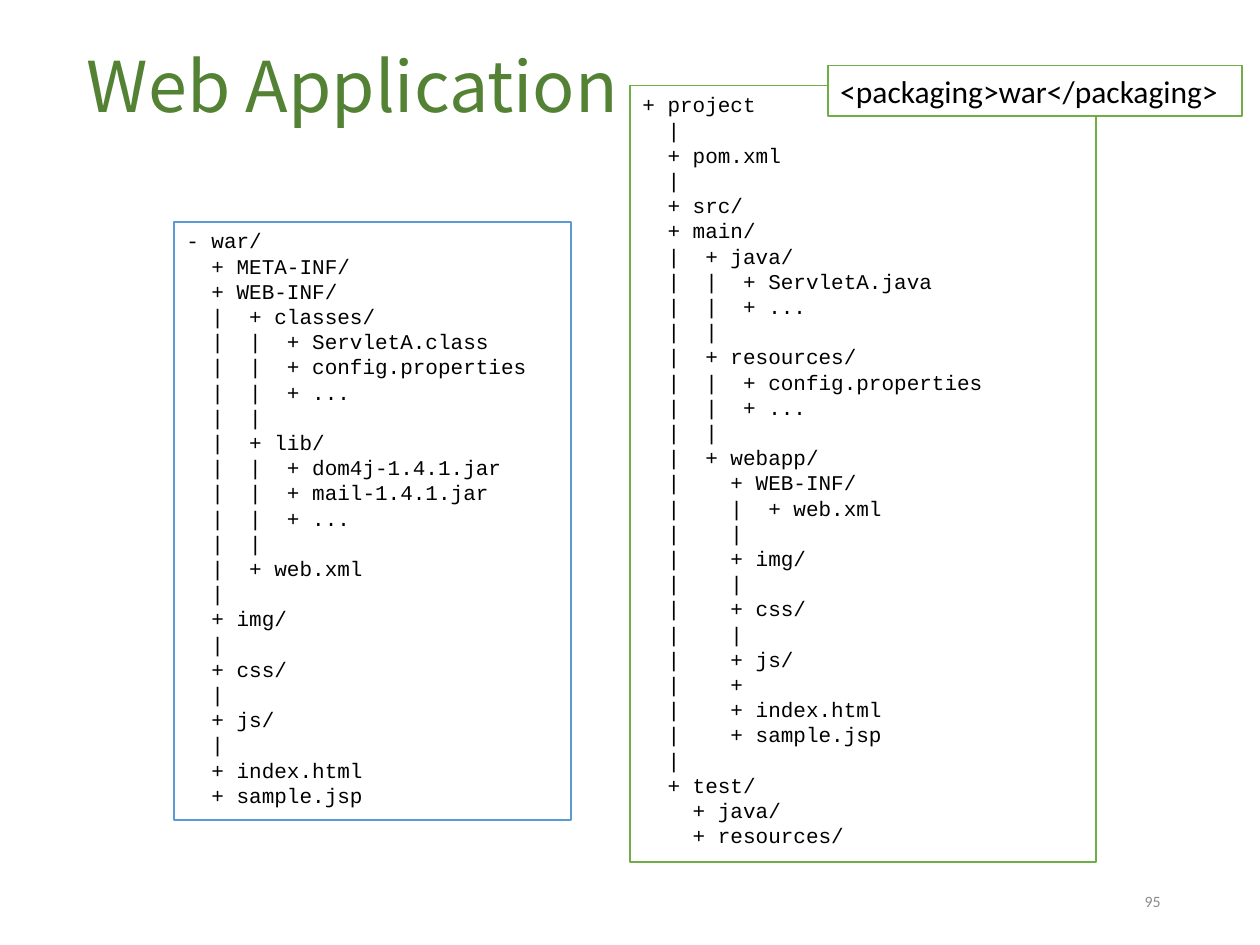
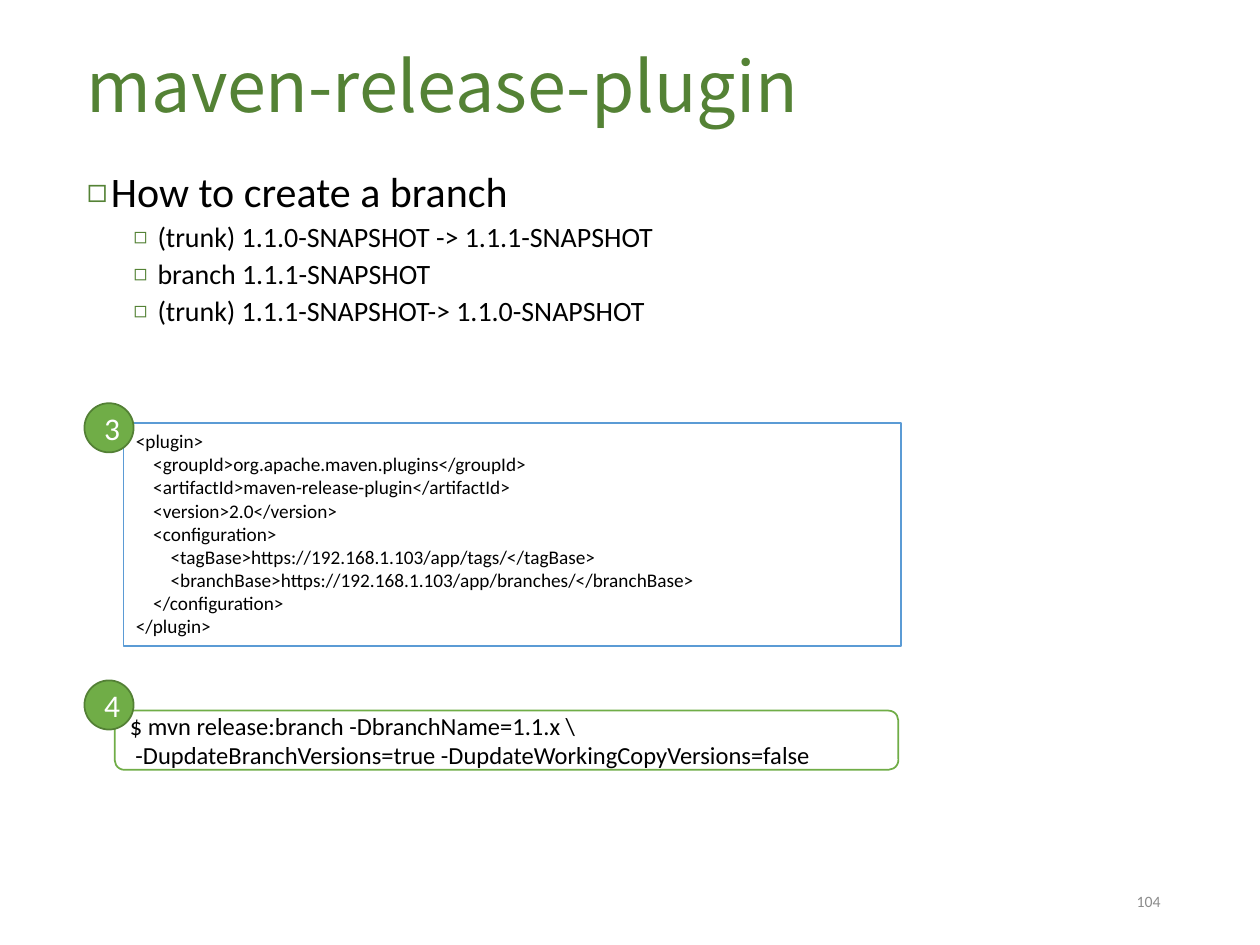
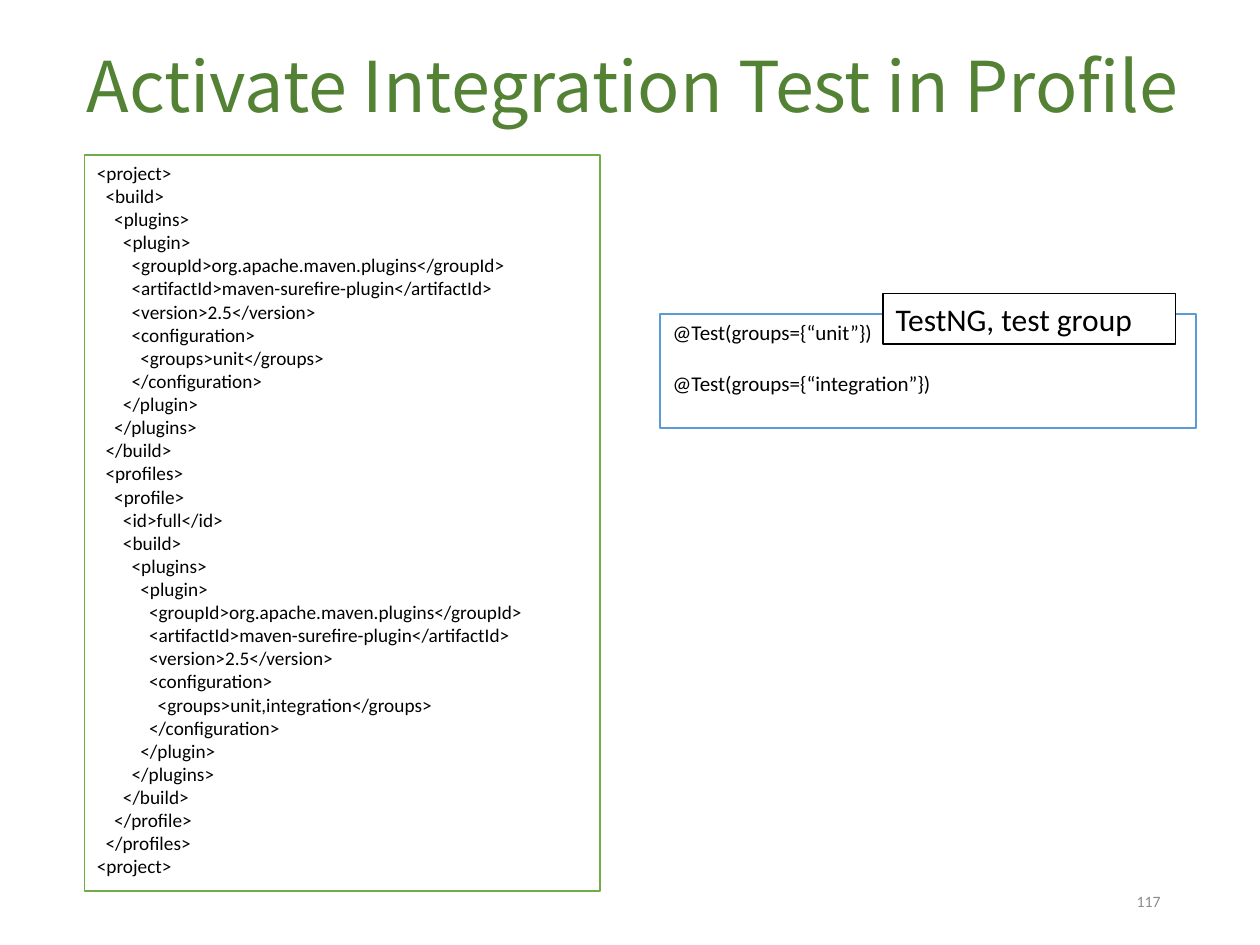
from lxml import etree
from pptx import Presentation
from pptx.dml.color import RGBColor
from pptx.enum.shapes import MSO_SHAPE
from pptx.enum.text import MSO_ANCHOR, MSO_AUTO_SIZE, PP_ALIGN
from pptx.oxml.ns import qn
from pptx.util import Inches, Pt

RECT, ROUNDED, OVAL = MSO_SHAPE.RECTANGLE, MSO_SHAPE.ROUNDED_RECTANGLE, MSO_SHAPE.OVAL
TOP, MIDDLE = MSO_ANCHOR.TOP, MSO_ANCHOR.MIDDLE
LEFT, CENTER, RIGHT = PP_ALIGN.LEFT, PP_ALIGN.CENTER, PP_ALIGN.RIGHT
NO_FIT = MSO_AUTO_SIZE.NONE
TITLE_ONLY, TITLE_AND_BODY = 5, 1

TITLE_GREEN, GREEN, DARK_GREEN = "548235", "70AD47", "538035"
BLUE, BLACK, WHITE, GRAY = "5B9BD5", "000000", "FFFFFF", "8C8C8C"
SANS, MONO, TITLE_FONT = "Calibri", "Courier New", "Noto Sans CJK JP"

WAR_TREE = """\
- war/
  + META-INF/
  + WEB-INF/
  |  + classes/
  |  |  + ServletA.class
  |  |  + config.properties
  |  |  + ...
  |  |
  |  + lib/
  |  |  + dom4j-1.4.1.jar
  |  |  + mail-1.4.1.jar
  |  |  + ...
  |  |
  |  + web.xml
  |
  + img/
  |
  + css/
  |
  + js/
  |
  + index.html
  + sample.jsp"""

PROJECT_TREE = """\
+ project
  |
  + pom.xml
  |
  + src/
  + main/
  |  + java/
  |  |  + ServletA.java
  |  |  + ...
  |  |
  |  + resources/
  |  |  + config.properties
  |  |  + ...
  |  |
  |  + webapp/
  |    + WEB-INF/
  |    |  + web.xml
  |    |
  |    + img/
  |    |
  |    + css/
  |    |
  |    + js/
  |    +
  |    + index.html
  |    + sample.jsp
  |
  + test/
    + java/
    + resources/"""

RELEASE_PLUGIN = """\
<plugin>
    <groupId>org.apache.maven.plugins</groupId>
    <artifactId>maven-release-plugin</artifactId>
    <version>2.0</version>
    <configuration>
        <tagBase>https://192.168.1.103/app/tags/</tagBase>
        <branchBase>https://192.168.1.103/app/branches/</branchBase>
    </configuration>
</plugin>"""

BRANCH_COMMAND = """\
$ mvn release:branch -DbranchName=1.1.x \\
 -DupdateBranchVersions=true -DupdateWorkingCopyVersions=false"""

SUREFIRE_BUILD = """\
<build>
  <plugins>
    <plugin>
      <groupId>org.apache.maven.plugins</groupId>
      <artifactId>maven-surefire-plugin</artifactId>
      <version>2.5</version>
      <configuration>
        <groups>GROUPS</groups>
      </configuration>
    </plugin>
  </plugins>
</build>"""


def surefire_build(groups, indent):
    lines = SUREFIRE_BUILD.replace("GROUPS", groups).splitlines()
    return [" " * indent + line for line in lines]


def rgb(hex_color):
    return RGBColor.from_string(hex_color)


class Deck:
    """Holds the presentation, its style and the current slide."""

    def __init__(self):
        self.prs = Presentation()
        self.prs.slide_width, self.prs.slide_height = Inches(10), Inches(7.5)
        self.slide = None

    def new_slide(self, title, number, title_width=8.98, layout=TITLE_ONLY):
        self.slide = self.prs.slides.add_slide(self.prs.slide_layouts[layout])
        heading = self.slide.shapes.title
        self.place(heading, 0.59, 0.36, title_width, 0.77)
        self.fill_text(heading, [title], 40, TITLE_FONT, TITLE_GREEN)
        heading.text_frame.paragraphs[0].line_spacing = 0.9
        footer = self.slide.shapes.add_textbox(
            Inches(7.06), Inches(6.95), Inches(2.25), Inches(0.4))
        self.fill_text(footer, [str(number)], 9, color=GRAY, align=RIGHT, anchor=MIDDLE)

    def place(self, shape, left, top, width, height):
        shape.left, shape.top = Inches(left), Inches(top)
        shape.width, shape.height = Inches(width), Inches(height)

    def fill_text(self, shape, lines, size, font=SANS, color=BLACK, align=LEFT,
                  anchor=TOP, wrap=True, gap=0):
        """Fill a shape with one paragraph a line; gap is the points between them."""
        frame = shape.text_frame
        frame.auto_size, frame.word_wrap, frame.vertical_anchor = NO_FIT, wrap, anchor
        for index, line in enumerate(lines):
            paragraph = frame.add_paragraph() if index else frame.paragraphs[0]
            paragraph.text = line
            paragraph.alignment = align
            paragraph.space_before = Pt(gap if index else 0)
            self.set_font(paragraph, size, font, color)

    def set_font(self, paragraph, size, name, color):
        paragraph.font.size, paragraph.font.name = Pt(size), name
        paragraph.font.color.rgb = rgb(color)

    def box(self, bounds, lines, size, line=GREEN, fill=WHITE, form=RECT, **text_style):
        shape = self.slide.shapes.add_shape(form, *map(Inches, bounds))
        shape.shadow.inherit = False
        shape.fill.solid()
        shape.fill.fore_color.rgb = rgb(fill)
        shape.line.color.rgb = rgb(line)
        shape.line.width = Pt(1)
        self.fill_text(shape, lines, size, **text_style)

    def step(self, number, top):
        """Add a numbered green circle."""
        self.box((0.67, top, 0.39, 0.39), [str(number)], 18, DARK_GREEN, GREEN, OVAL,
                 color=WHITE, align=CENTER, anchor=MIDDLE)

    def bullets(self, bounds, items):
        """Fill the body placeholder with (level, text) items."""
        body = self.slide.placeholders[1]
        self.place(body, *bounds)
        frame = body.text_frame
        frame.auto_size, frame.vertical_anchor = NO_FIT, TOP
        for index, (level, text) in enumerate(items):
            paragraph = frame.add_paragraph() if index else frame.paragraphs[0]
            paragraph.text, paragraph.level = text, level
            self.add_square(paragraph, 0.56 if level else 0.19)
            paragraph.line_spacing = 0.9
            paragraph.space_before = Pt(3.8 if index else 0)
            self.set_font(paragraph, 16 if level else 24, SANS, BLACK)

    def add_square(self, paragraph, margin):
        """Give a paragraph a hanging square bullet."""
        props = paragraph._p.get_or_add_pPr()
        props.set("marL", str(Inches(margin)))
        props.set("indent", str(Inches(-0.19)))
        color = etree.SubElement(props, qn("a:buClr"))
        etree.SubElement(color, qn("a:srgbClr"), val=TITLE_GREEN)
        etree.SubElement(props, qn("a:buSzPct"), val="80000")
        etree.SubElement(props, qn("a:buChar"), char="◻")


def web_application(deck):
    deck.new_slide("Web Application", 95, title_width=5.11)
    deck.box((1.38, 1.76, 3.15, 4.75), WAR_TREE.splitlines(), 12, BLUE, font=MONO)
    deck.box((5, 0.68, 3.7, 6.16), PROJECT_TREE.splitlines(), 12, font=MONO)
    deck.box((6.57, 0.52, 3.29, 0.4), ["<packaging>war</packaging>"], 18, wrap=False)


def release_plugin(deck):
    deck.new_slide("maven-release-plugin", 104, title_width=6.77, layout=TITLE_AND_BODY)
    deck.bullets((0.59, 1.31, 8.98, 1.89), [
        (0, "How to create a branch"),
        (1, "(trunk) 1.1.0-SNAPSHOT -> 1.1.1-SNAPSHOT"),
        (1, "branch 1.1.1-SNAPSHOT"),
        (1, "(trunk) 1.1.1-SNAPSHOT-> 1.1.0-SNAPSHOT"),
    ])
    deck.box((0.98, 3.36, 6.17, 1.77), RELEASE_PLUGIN.splitlines(), 11, BLUE)
    deck.step(3, 3.2)
    deck.box((0.91, 5.64, 6.22, 0.47), BRANCH_COMMAND.splitlines(), 14,
             form=ROUNDED, anchor=MIDDLE)
    deck.step(4, 5.4)


def integration_profile(deck):
    deck.new_slide("Activate Integration Test in Profile", 117)
    profile_xml = [
        "<project>",
        *surefire_build("unit", 2),
        "  <profiles>",
        "    <profile>",
        "      <id>full</id>",
        *surefire_build("unit,integration", 6),
        "    </profile>",
        "  </profiles>",
        "<project>",
    ]
    deck.box((0.67, 1.23, 4.09, 5.84), profile_xml, 11)
    annotations = ["@Test(groups={“unit”})", "@Test(groups={“integration”})"]
    deck.box((5.24, 2.49, 4.25, 0.91), annotations, 12, BLUE, gap=14.6)
    deck.box((7.01, 2.33, 2.32, 0.4), ["TestNG, test group"], 18, BLACK)


def main():
    deck = Deck()
    web_application(deck)
    release_plugin(deck)
    integration_profile(deck)
    deck.prs.save("out.pptx")


if __name__ == "__main__":
    main()
